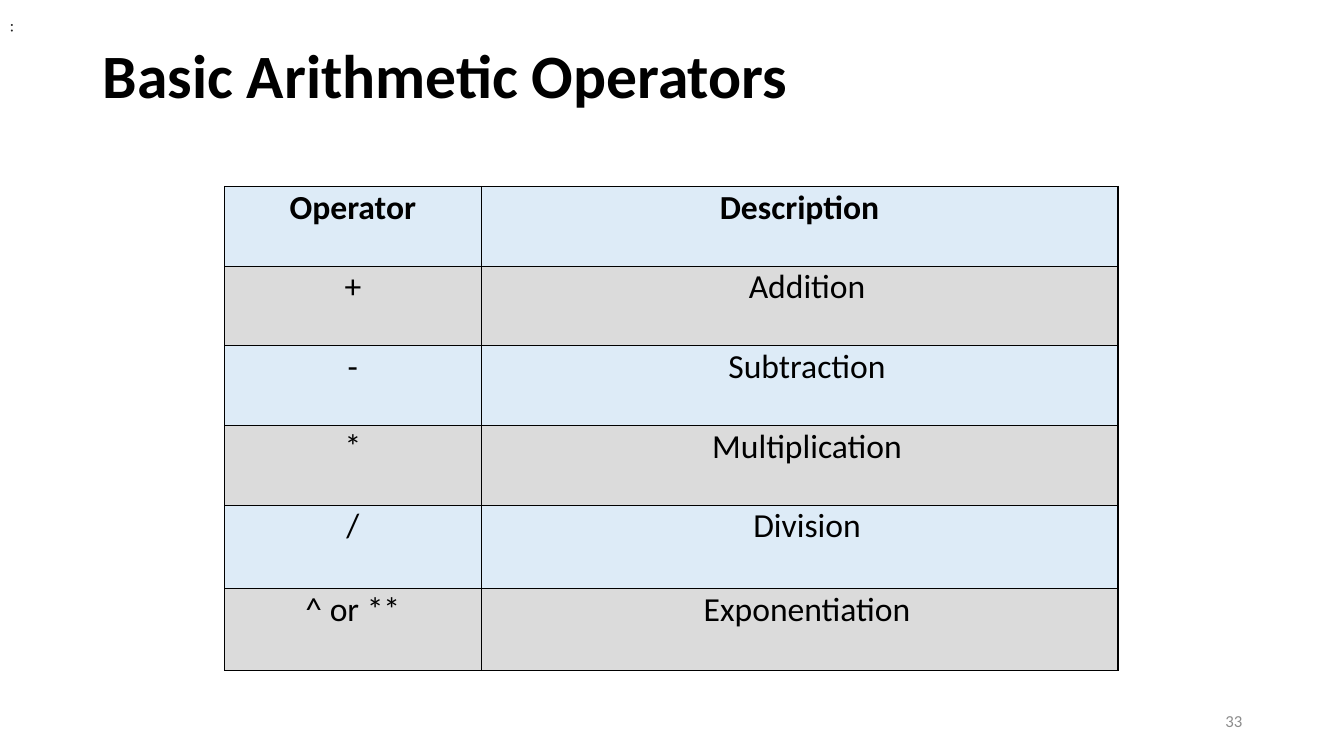
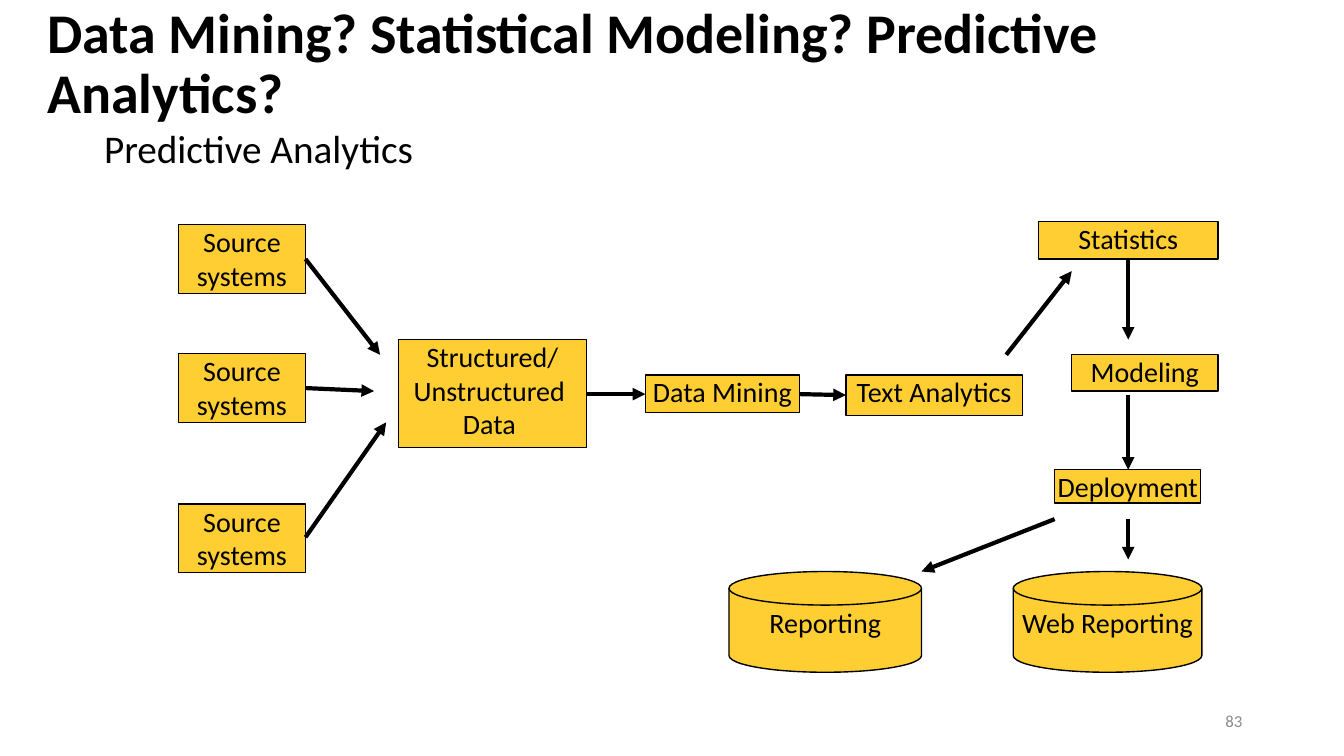
"""Build an operator table slide and a predictive analytics flow slide."""
from lxml import etree
from pptx import Presentation, util as u
from pptx.dml.color import RGBColor
from pptx.enum import shapes, text
from pptx.oxml.ns import qn

PX = 9144
BLACK, GREY, INK = "000000", "8C8C8C", "222222"
YELLOW, BLUE, SILVER = "FFCE33", "DDEBF7", "DBDBDB"
FONT = "Calibri"
LEFT, CENTER, RIGHT = text.PP_ALIGN.LEFT, text.PP_ALIGN.CENTER, text.PP_ALIGN.RIGHT
TOP, MIDDLE = text.MSO_ANCHOR.TOP, text.MSO_ANCHOR.MIDDLE


def rgb(color):
    return RGBColor.from_string(color)


def write(tf, lines, size, color=BLACK, bold=False, align=LEFT, anchor=TOP,
          font=FONT, spacing=None, inset=None, wrap=True):
    tf.word_wrap = wrap
    tf.vertical_anchor = anchor
    if inset is not None:
        tf.margin_left = tf.margin_right = tf.margin_top = tf.margin_bottom = inset * PX
    for i, line in enumerate(lines.split("\n")):
        p = tf.add_paragraph() if i else tf.paragraphs[0]
        p.alignment = align
        if spacing:
            p.line_spacing = spacing
        r = p.add_run()
        r.text = line
        r.font.name, r.font.size, r.font.bold = font, u.Pt(size), bold
        r.font.color.rgb = rgb(color)


prs = Presentation()
prs.slide_width, prs.slide_height = 1333 * PX, 750 * PX

pages = [
    ("Basic Arithmetic Operators", 44, (92, 40, 1150, 145), TOP, "33"),
    ("Data Mining? Statistical Modeling? Predictive Analytics?", 40,
     (37, 24, 1259, 82), MIDDLE, "83"),
]
slides = []
for title, size, box, anchor, number in pages:
    s = prs.slides.add_slide(prs.slide_layouts[6])
    sp = s.shapes.add_textbox(*(v * PX for v in box))
    write(sp.text_frame, title, size, bold=True, anchor=anchor, spacing=0.9)
    sp = s.shapes.add_textbox(942 * PX, 695 * PX, 300 * PX, 40 * PX)
    write(sp.text_frame, number, 12, GREY, align=RIGHT, anchor=MIDDLE)
    slides.append(s)
operators, flow = slides

sp = operators.shapes.add_textbox(0, 9 * PX, 25 * PX, 32 * PX)
write(sp.text_frame, ":", 13, INK, anchor=MIDDLE, font="Karla", wrap=False)

rows = [("Operator", "Description"), ("+", "Addition"), ("-", "Subtraction"),
        ("*", "Multiplication"), ("/", "Division"), ("^ or **", "Exponentiation")]
widths = [254, 632]
heights = [79, 79, 79, 79, 83, 81]
table = operators.shapes.add_table(len(rows), len(widths), 223 * PX, 185 * PX,
                                   sum(widths) * PX, sum(heights) * PX).table
for column, width in zip(table.columns, widths):
    column.width = width * PX
for i, row in enumerate(rows):
    table.rows[i].height = heights[i] * PX
    for j, value in enumerate(row):
        cell = table.cell(i, j)
        write(cell.text_frame, value, 24, bold=i == 0, align=CENTER)
        cell.margin_left = (16 if i and j else 1) * PX
        cell.margin_right = cell.margin_top = PX
        cell.margin_bottom = 0
        outer = {"lnL": j == 0, "lnR": j == len(widths) - 1,
                 "lnT": i == 0, "lnB": i == len(rows) - 1}
        tcPr = cell._tc.get_or_add_tcPr()
        for side, is_outer in outer.items():
            ln = etree.SubElement(tcPr, qn("a:" + side), w=str(u.Pt(1 if is_outer else 0.5)))
            fill = etree.SubElement(ln, qn("a:solidFill"))
            etree.SubElement(fill, qn("a:srgbClr"), val=BLACK)
        cell.fill.solid()
        cell.fill.fore_color.rgb = rgb(SILVER if i % 2 else BLUE)

sp = flow.shapes.add_textbox(98 * PX, 123 * PX, 317 * PX, 38 * PX)
write(sp.text_frame, "Predictive Analytics", 28, align=CENTER, inset=0)

RECT = shapes.MSO_SHAPE.RECTANGLE
DISK = shapes.MSO_SHAPE.FLOWCHART_MAGNETIC_DISK
steps = [(RECT, "Source systems", 177, top, 126, 68) for top in (223, 351, 500)] + [
    (RECT, "Structured/\nUnstructured \nData ", 395, 337, 187, 107),
    (RECT, "Data Mining", 640, 372, 153, 37),
    (RECT, "Text Analytics", 839, 372, 175, 40),
    (RECT, "Statistics", 1030, 220, 178, 37),
    (RECT, "Modeling", 1063, 352, 145, 36),
    (RECT, "Deployment", 1046, 466, 145, 33),
    (DISK, "Reporting", 723, 567, 191, 100),
    (DISK, "Web Reporting", 1005, 567, 187, 100),
]
for kind, label, *box in steps:
    sp = flow.shapes.add_shape(kind, *(v * PX for v in box))
    sp.shadow.inherit = False
    sp.fill.solid()
    sp.fill.fore_color.rgb = rgb(YELLOW)
    sp.line.color.rgb = rgb(BLACK)
    sp.line.width = u.Pt(1)
    write(sp.text_frame, label, 20, align=CENTER, inset=0)

arrows = [
    (303, 257, 377, 352), (303, 385, 371, 388), (303, 533, 383, 419),
    (582, 391, 640, 391), (793, 391, 839, 392), (998, 352, 1063, 269),
    (1119, 257, 1119, 337), (1119, 392, 1119, 466),
    (1046, 515, 914, 567), (1119, 515, 1119, 555),
]
for ends in arrows:
    c = flow.shapes.add_connector(shapes.MSO_CONNECTOR.STRAIGHT, *(v * PX for v in ends))
    c.line.color.rgb = rgb(BLACK)
    c.line.width = u.Pt(3)
    etree.SubElement(c.line._get_or_add_ln(), qn("a:tailEnd"), type="triangle")
    etree.SubElement(c._element.spPr, qn("a:effectLst"))

prs.save("out.pptx")
